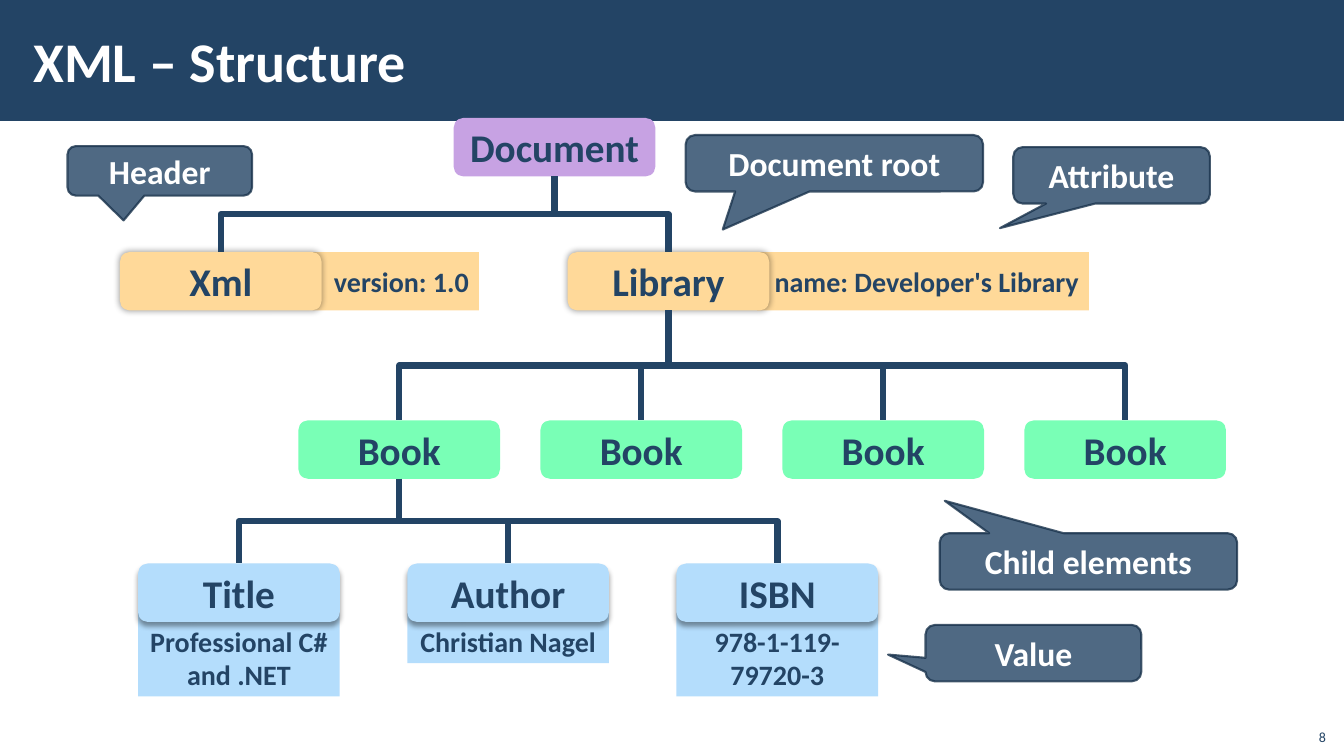
from dataclasses import dataclass
from typing import Optional

import lxml.etree
import pptx
import pptx.dml.color
import pptx.enum.shapes
import pptx.enum.text
import pptx.oxml.ns
import pptx.shapes.autoshape
import pptx.shapes.connector
import pptx.slide
import pptx.util

Inches = pptx.util.Inches
ShapeType = pptx.enum.shapes.MSO_SHAPE
Align = pptx.enum.text.PP_ALIGN
Anchor = pptx.enum.text.MSO_ANCHOR
Shape = pptx.shapes.autoshape.Shape
qn = pptx.oxml.ns.qn


@dataclass(frozen=True)
class Theme:
    font: str = "Calibri"
    navy: str = "234465"
    callout_line: str = "1A334C"
    white: str = "FFFFFF"
    violet: str = "C7A2E3"
    orange: str = "FFD999"
    green: str = "79FFB6"
    blue: str = "B4DDFC"
    title_size: int = 40
    node_size: int = 28
    callout_size: int = 24
    detail_size: int = 20
    number_size: int = 10
    callout_alpha: int = 80
    shadow_alpha: int = 40


THEME = Theme()
NODE_WIDTH, NODE_HEIGHT = 2.0, 0.58


@dataclass(frozen=True)
class Shadow:
    blur: int
    distance: int
    angle: int


GLOW = Shadow(5, 0, 0)
DROP = Shadow(4, 3, 90)


@dataclass(frozen=True)
class Node:
    text: str
    left: float
    top: float
    color: str
    shadow: Optional[Shadow] = None


@dataclass(frozen=True)
class Detail:
    text: str
    left: float
    top: float
    width: float
    height: float
    color: str
    align: Align
    anchor: Anchor


@dataclass(frozen=True)
class Callout:
    text: str
    left: float
    top: float
    width: float
    height: float
    tip_x: float
    tip_y: float


def rgb(color: str) -> pptx.dml.color.RGBColor:
    return pptx.dml.color.RGBColor.from_string(color)


def write(shape: Shape, text: str, size: int, color: str = THEME.navy, bold: bool = True,
          align: Align = Align.CENTER, anchor: Anchor = Anchor.MIDDLE) -> None:
    frame = shape.text_frame
    frame.word_wrap = True
    frame.vertical_anchor = anchor
    paragraph = frame.paragraphs[0]
    paragraph.text = text
    paragraph.alignment = align
    paragraph.font.name = THEME.font
    paragraph.font.size = pptx.util.Pt(size)
    paragraph.font.bold = bold
    paragraph.font.color.rgb = rgb(color)


def add_block(slide: pptx.slide.Slide, kind: ShapeType, left: float, top: float,
              width: float, height: float, color: str) -> Shape:
    shape = slide.shapes.add_shape(kind, Inches(left), Inches(top), Inches(width), Inches(height))
    shape.shadow.inherit = False
    shape.fill.solid()
    shape.fill.fore_color.rgb = rgb(color)
    shape.line.fill.background()
    return shape


def set_alpha(color_element: lxml.etree._Element, percent: int) -> None:
    lxml.etree.SubElement(color_element, qn("a:alpha"), val=str(percent * 1000))


def add_shadow(shape: Shape, shadow: Shadow) -> None:
    effects = shape._element.spPr.find(qn("a:effectLst"))
    outer = lxml.etree.SubElement(
        effects, qn("a:outerShdw"), blurRad=str(pptx.util.Pt(shadow.blur)),
        dist=str(pptx.util.Pt(shadow.distance)), dir=str(shadow.angle * 60000), rotWithShape="0")
    set_alpha(lxml.etree.SubElement(outer, qn("a:srgbClr"), val="000000"), THEME.shadow_alpha)


def add_node(slide: pptx.slide.Slide, node: Node) -> Shape:
    shape = add_block(slide, ShapeType.ROUNDED_RECTANGLE, node.left, node.top,
                      NODE_WIDTH, NODE_HEIGHT, node.color)
    if node.shadow:
        add_shadow(shape, node.shadow)
    write(shape, node.text, THEME.node_size)
    return shape


def add_detail(slide: pptx.slide.Slide, detail: Detail) -> None:
    shape = add_block(slide, ShapeType.RECTANGLE, detail.left, detail.top,
                      detail.width, detail.height, detail.color)
    write(shape, detail.text, THEME.detail_size, align=detail.align, anchor=detail.anchor)


def add_callout(slide: pptx.slide.Slide, callout: Callout) -> None:
    shape = add_block(slide, ShapeType.ROUNDED_RECTANGULAR_CALLOUT, callout.left, callout.top,
                      callout.width, callout.height, THEME.navy)
    shape.adjustments[0], shape.adjustments[1] = callout.tip_x, callout.tip_y
    shape.line.color.rgb = rgb(THEME.callout_line)
    shape.line.width = pptx.util.Pt(1.5)
    for color_element in shape._element.spPr.iter(qn("a:srgbClr")):
        set_alpha(color_element, THEME.callout_alpha)
    write(shape, callout.text, THEME.callout_size, THEME.white)
    shape.text_frame.auto_size = pptx.enum.text.MSO_AUTO_SIZE.SHAPE_TO_FIT_TEXT


def add_branch(slide: pptx.slide.Slide, parent: Shape, child: Shape) -> None:
    """Join parent bottom to child top with an elbow turned to run downwards."""
    start_x, start_y = parent.left + parent.width // 2, parent.top + parent.height
    end_x, end_y = child.left + child.width // 2, child.top
    across, down = abs(end_x - start_x), end_y - start_y
    left = (start_x + end_x - down) // 2
    top = (start_y + end_y - across) // 2
    branch = slide.shapes.add_connector(pptx.enum.shapes.MSO_CONNECTOR.ELBOW,
                                        left, top, left + down, top + across)
    frame = branch._element.spPr.find(qn("a:xfrm"))
    leftwards = end_x < start_x
    frame.set("rot", str((90 if leftwards else 270) * 60000))
    frame.set("flipH", "0" if leftwards else "1")
    branch.line.color.rgb = rgb(THEME.navy)
    branch.line.width = pptx.util.Pt(4.5)
    lxml.etree.SubElement(branch._element.spPr, qn("a:effectLst"))


def add_label(slide: pptx.slide.Slide, left: float, top: float, width: float, height: float) -> Shape:
    return slide.shapes.add_textbox(Inches(left), Inches(top), Inches(width), Inches(height))


def main() -> None:
    presentation = pptx.Presentation()
    presentation.slide_width, presentation.slide_height = Inches(13.33), Inches(7.5)
    slide = presentation.slides.add_slide(presentation.slide_layouts[6])

    # Title bar
    add_block(slide, ShapeType.RECTANGLE, 0, 0, 13.33, 1.2, THEME.navy)
    title = add_label(slide, 0.21, 0.11, 10.63, 0.97)
    write(title, "XML – Structure", THEME.title_size, THEME.white, align=Align.LEFT)
    title.text_frame.margin_left = title.text_frame.margin_right = Inches(0.12)

    # Attributes and values, tucked behind their nodes
    leaf_lefts = [1.37 + 2.67 * column for column in range(3)]
    leaf_values = [("Professional C# and .NET", 0.83), ("Christian Nagel", 0.5), ("978-1-119-79720-3", 0.83)]
    for left, (value, height) in zip(leaf_lefts, leaf_values):
        add_detail(slide, Detail(value, left, 6.08, NODE_WIDTH, height, THEME.blue, Align.CENTER, Anchor.BOTTOM))
    for text, left, width in [("version: 1.0", 3.1, 1.65), ("name: Developer's Library", 7.51, 3.29)]:
        add_detail(slide, Detail(text, left, 2.5, width, NODE_HEIGHT, THEME.orange, Align.RIGHT, Anchor.MIDDLE))

    # Tree nodes
    document = add_node(slide, Node("Document", 4.5, 1.17, THEME.violet))
    header = add_node(slide, Node("Xml", 1.19, 2.5, THEME.orange, GLOW))
    library = add_node(slide, Node("Library", 5.63, 2.5, THEME.orange, GLOW))
    books = [add_node(slide, Node("Book", 2.96 + 2.4 * column, 4.17, THEME.green)) for column in range(4)]
    leaves = [add_node(slide, Node(name, left, 5.59, THEME.blue, DROP))
              for name, left in zip(["Title", "Author", "ISBN"], leaf_lefts)]

    # Branches
    for parent, children in [(document, [header, library]), (library, books), (books[0], leaves)]:
        for child in children:
            add_branch(slide, parent, child)

    # Callouts
    for callout in [
        Callout("Header", 0.67, 1.45, 1.83, 0.49, -0.196, 1.003),
        Callout("Document root", 6.8, 1.34, 2.95, 0.56, -0.375, 1.175),
        Callout("Attribute", 10.05, 1.46, 1.95, 0.56, -0.568, 0.936),
        Callout("Child elements", 9.32, 5.29, 2.95, 0.56, -0.483, -1.075),
        Callout("Value", 9.18, 6.2, 2.14, 0.56, -0.674, 0.026),
    ]:
        add_callout(slide, callout)

    # Slide number
    number = add_label(slide, 12.85, 7.12, 0.4, 0.32)
    write(number, "8", THEME.number_size, bold=False, align=Align.RIGHT, anchor=Anchor.BOTTOM)

    presentation.save("out.pptx")


if __name__ == "__main__":
    main()
